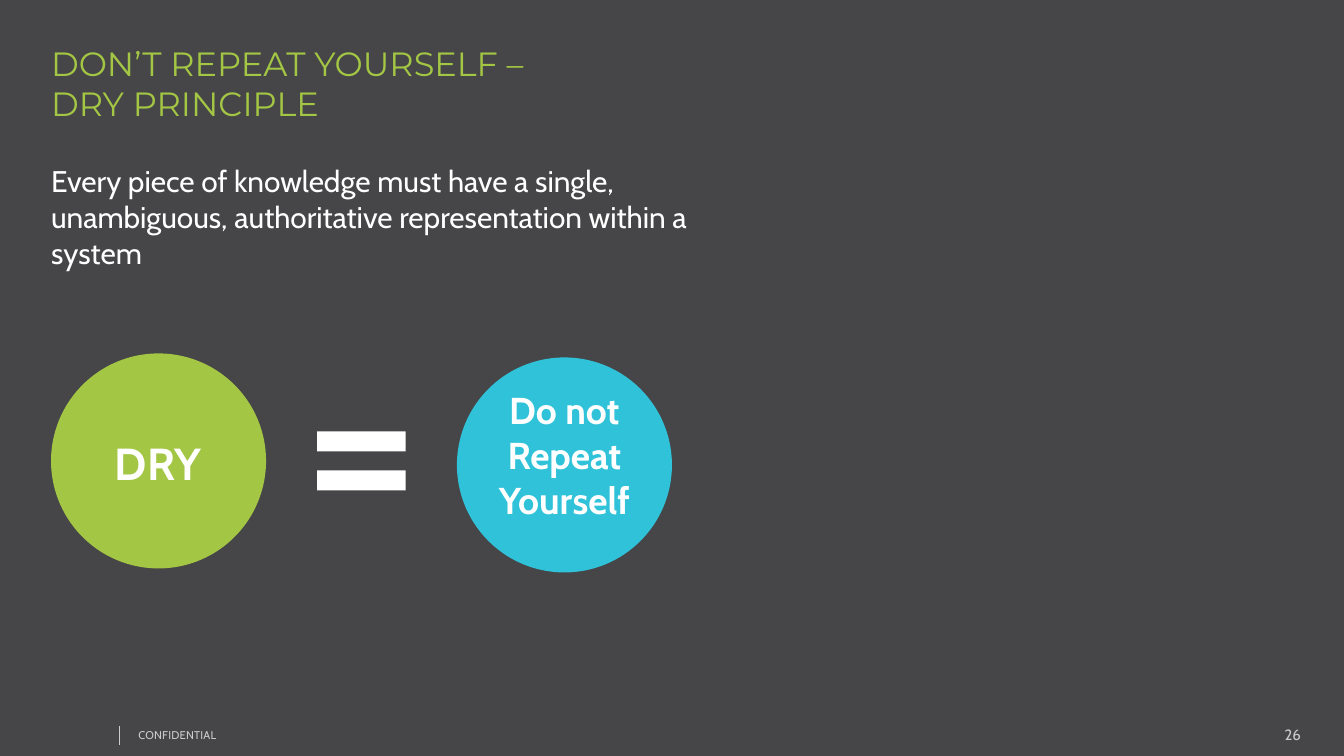
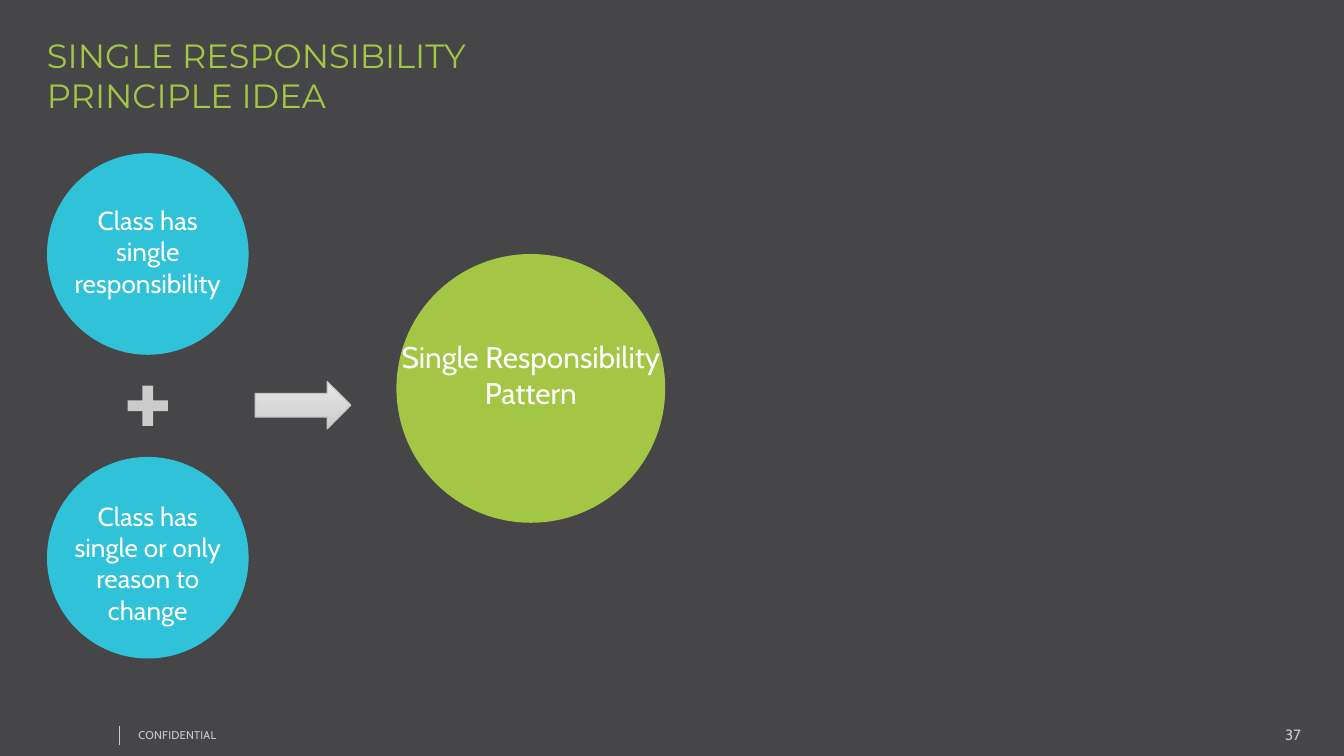
from lxml.etree import SubElement
from pptx import Presentation
from pptx.dml.color import RGBColor
from pptx.enum.shapes import MSO_CONNECTOR, MSO_SHAPE
from pptx.enum.text import MSO_ANCHOR, MSO_AUTO_SIZE, PP_ALIGN
from pptx.oxml.ns import qn
from pptx.util import Pt

# Shared style: 200 px to the inch
EMU_PER_PX = 4572
BACKGROUND, GREEN, BLUE = "464547", "A3C644", "2FC2D9"
WHITE, GREY = "FFFFFF", "CCCCCC"
BODY_FONT, TITLE_FONT = "Cabin", "Montserrat"
FOOTER_INSETS = (14, 8, 14, 8)


def px(value):
    return int(value * EMU_PER_PX)


def color(hex_value):
    return RGBColor.from_string(hex_value)


def set_attributes(target, values):
    for name, value in values.items():
        setattr(target, name, value)


class Deck:
    """Holds the style and the current slide."""

    def __init__(self):
        self.presentation = Presentation()
        self.presentation.slide_width = px(2000)
        self.presentation.slide_height = px(1125)
        self.slide = None

    def new_slide(self, number):
        layout = self.presentation.slide_layouts[6]
        self.slide = self.presentation.slides.add_slide(layout)
        fill = self.slide.background.fill
        fill.solid()
        fill.fore_color.rgb = color(BACKGROUND)
        self.footer(number)

    def footer(self, number):
        self.text([str(number)], 1624, 1072, 326, 42, size=8, hex_value=GREY,
                  align=PP_ALIGN.RIGHT, insets=FOOTER_INSETS, grow=True)
        self.text(["CONFIDENTIAL"], 192, 1076, 506, 36, size=6, hex_value=GREY,
                  insets=FOOTER_INSETS, grow=True, spacing=10)
        self.line(178, 1080, 178, 1108)

    def title(self, lines, left, top, width):
        self.text(lines, left, top, width, 122, size=18, hex_value=GREEN,
                  font=TITLE_FONT, grow=True)

    def text(self, lines, left, top, width, height, size, hex_value=WHITE,
             font=BODY_FONT, bold=False, align=PP_ALIGN.LEFT, gap=0,
             insets=(0, 0, 0, 0), grow=False, spacing=None):
        box = self.slide.shapes.add_textbox(px(left), px(top), px(width), px(height))
        frame = box.text_frame
        sides = ("margin_left", "margin_top", "margin_right", "margin_bottom")
        set_attributes(frame, dict(zip(sides, map(px, insets))))
        set_attributes(frame, {
            "word_wrap": True,
            "vertical_anchor": MSO_ANCHOR.TOP,
            "auto_size": MSO_AUTO_SIZE.SHAPE_TO_FIT_TEXT if grow else MSO_AUTO_SIZE.NONE,
        })
        for index, line in enumerate(lines):
            paragraph = frame.add_paragraph() if index else frame.paragraphs[0]
            set_attributes(paragraph, {"alignment": align, "space_before": Pt(gap),
                                       "space_after": Pt(gap)})
            run = paragraph.add_run()
            run.text = line
            set_attributes(run.font, {"name": font, "size": Pt(size), "bold": bold})
            run.font.color.rgb = color(hex_value)
            if spacing:
                run._r.get_or_add_rPr().set("spc", str(spacing))

    def shape(self, kind, left, top, width, height, hex_value):
        shape = self.slide.shapes.add_shape(kind, px(left), px(top), px(width), px(height))
        shape.shadow.inherit = False
        shape.fill.solid()
        shape.fill.fore_color.rgb = color(hex_value)
        shape.line.fill.background()
        return shape

    def circle(self, left, top, diameter, hex_value):
        self.shape(MSO_SHAPE.OVAL, left, top, diameter, diameter, hex_value)

    def gradient_arrow(self, left, top, width, height):
        arrow = self.shape(MSO_SHAPE.RIGHT_ARROW, left, top, width, height, GREY)
        arrow.fill.gradient()
        arrow.fill.gradient_angle = 90
        for stop, position, hex_value in zip(arrow.fill.gradient_stops, (0, 1), (GREY, "E7E7E7")):
            stop.position = position
            stop.color.rgb = color(hex_value)
        arrow.line.color.rgb = color("C8C8C8")
        arrow.line.width = Pt(0.75)

    def line(self, left, top, right, bottom):
        connector = self.slide.shapes.add_connector(
            MSO_CONNECTOR.STRAIGHT, px(left), px(top), px(right), px(bottom))
        connector.line.color.rgb = color(GREY)
        connector.line.width = Pt(0.25)
        SubElement(connector._element.spPr, qn("a:effectLst"))


def build_dry_principle(deck):
    deck.new_slide(26)
    deck.title(["DON’T REPEAT YOURSELF –", "DRY PRINCIPLE"], 76, 64, 950)
    deck.text(["Every piece of knowledge must have a single, unambiguous, "
               "authoritative representation within a system"],
              76, 242, 950, 194, size=16, gap=6)

    # Two circles joined by an equals sign
    deck.circle(76, 526, 320, GREEN)
    deck.circle(680, 532, 320, BLUE)
    for bar_top in (642, 700):
        deck.shape(MSO_SHAPE.RECTANGLE, 472, bar_top, 132, 30, WHITE)
    deck.text(["DRY"], 171, 648, 150, 82, size=24, bold=True, gap=6)
    deck.text(["Do not", "Repeat", "Yourself"], 674, 576, 332, 216,
              size=20, bold=True, align=PP_ALIGN.CENTER)


def build_single_responsibility(deck):
    deck.new_slide(37)
    deck.title(["SINGLE RESPONSIBILITY", "PRINCIPLE IDEA"], 70, 52, 720)

    # Two conditions
    conditions = [
        (228, 304, 148, "Class has single responsibility"),
        (680, 744, 214, "Class has single or only reason to change"),
    ]
    for circle_top, text_top, text_height, wording in conditions:
        deck.circle(70, circle_top, 300, BLUE)
        deck.text([wording], 96, text_top, 248, text_height, size=14,
                  align=PP_ALIGN.CENTER, gap=6)
    plus = deck.shape(MSO_SHAPE.CROSS, 190, 574, 60, 60, GREY)
    plus.adjustments[0] = 0.365

    # Resulting pattern
    deck.gradient_arrow(380, 568, 142, 70)
    deck.circle(590, 378, 400, GREEN)
    deck.text(["Single Responsibility Pattern"], 590, 504, 400, 148, size=16,
              align=PP_ALIGN.CENTER, gap=6)


def main():
    deck = Deck()
    build_dry_principle(deck)
    build_single_responsibility(deck)
    deck.presentation.save("out.pptx")


if __name__ == "__main__":
    main()
